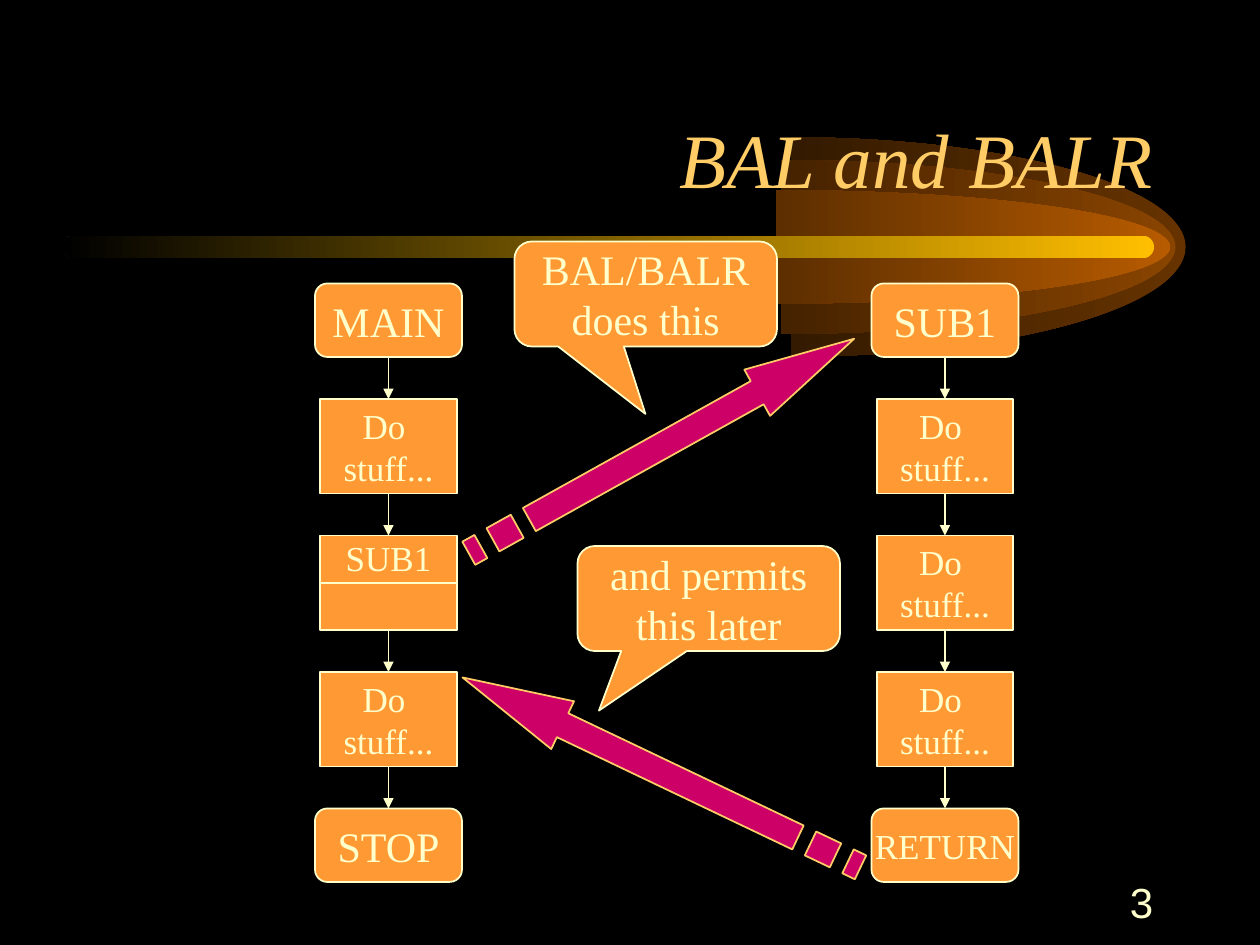
from lxml import etree
from pptx import Presentation
from pptx.dml.color import RGBColor
from pptx.enum.shapes import MSO_CONNECTOR, MSO_SHAPE
from pptx.enum.text import MSO_ANCHOR, PP_ALIGN
from pptx.oxml.ns import qn
from pptx.util import Inches, Pt

RECT, ROUND = MSO_SHAPE.RECTANGLE, MSO_SHAPE.ROUNDED_RECTANGLE
CALLOUT = MSO_SHAPE.ROUNDED_RECTANGULAR_CALLOUT
STRAIGHT = MSO_CONNECTOR.STRAIGHT
CENTER, RIGHT = PP_ALIGN.CENTER, PP_ALIGN.RIGHT
TOP, MIDDLE, BOTTOM = MSO_ANCHOR.TOP, MSO_ANCHOR.MIDDLE, MSO_ANCHOR.BOTTOM

BLACK = RGBColor(0x00, 0x00, 0x00)
CREAM = RGBColor(0xFF, 0xFF, 0xCC)
ORANGE = RGBColor(0xFF, 0x99, 0x33)
GOLD = RGBColor(0xFF, 0xCC, 0x66)
YELLOW = RGBColor(0xFF, 0xBF, 0x00)
MAGENTA = RGBColor(0xCC, 0x00, 0x66)
SERIF, SANS = "Times New Roman", "Arial"

# Content; the flow chart and callouts sit on a grid of twelfths of an inch
TITLE = "BAL and BALR"
PAGE = "3"
STUFF = ["Do ", "stuff..."]
# Flow columns: centre x, then (lines, text size) from top to bottom
FLOWS = [
    (37 / 12, [(["MAIN"], 24), (STUFF, 20), (["SUB1"], 20), (STUFF, 20), (["STOP"], 24)]),
    (90 / 12, [(["SUB1"], 24), (STUFF, 20), (STUFF, 20), (STUFF, 20), (["RETURN"], 20)]),
]
CALL_STEP = (0, 2)  # column and row of the box that calls the subroutine
# Callouts: lines, left, top, pointer offset
CALLOUTS = [
    (["BAL/BALR", "does this"], 49 / 12, 23 / 12, (-0.001, 1.142)),
    (["and permits", "this later"], 55 / 12, 52 / 12, (-0.418, 1.067)),
]
# Striped arrows: top, rotation
ARROWS = [(3.33, 330.9), (5.92, 205.5)]
# Comet layers: centre x, vertical radius, head colour, fading colour
COMET = [
    (6.28, 0.87, RGBColor(0x66, 0x33, 0x00), RGBColor(0x33, 0x1A, 0x00)),
    (6.2, 0.69, RGBColor(0x89, 0x44, 0x00), RGBColor(0x45, 0x22, 0x00)),
    (6.16, 0.45, RGBColor(0xB7, 0x5B, 0x00), RGBColor(0x5C, 0x2E, 0x00)),
]
COMET_Y, COMET_RX = 1.96, 3.13

prs = Presentation()
prs.slide_width, prs.slide_height = Inches(10), Inches(7.5)
s = prs.slides.add_slide(prs.slide_layouts[5])
s.background.fill.solid()
s.background.fill.fore_color.rgb = BLACK


def put_text(sp, lines, size=24, color=CREAM, font=SERIF, italic=False,
             align=CENTER, anchor=MIDDLE, wrap=False, spacing=None):
    tf = sp.text_frame
    tf.word_wrap = wrap
    tf.vertical_anchor = anchor
    for i, line in enumerate(lines):
        p = tf.add_paragraph() if i else tf.paragraphs[0]
        p.alignment = align
        p.line_spacing = spacing
        r = p.add_run()
        r.text = line
        r.font.size, r.font.name, r.font.italic = Pt(size), font, italic
        r.font.color.rgb = color


def paint(sp, fill, line):
    sp.shadow.inherit = False
    sp.fill.solid()
    sp.fill.fore_color.rgb = fill
    sp.line.color.rgb = line
    sp.line.width = Pt(1)


def fade(sp, head, tail):
    """Fade from head on the right to tail on the left, without outline."""
    sp.shadow.inherit = False
    sp.fill.gradient()
    sp.fill.gradient_angle = 180
    for stop, color in zip(sp.fill.gradient_stops, (head, tail)):
        stop.color.rgb = color
    sp.line.fill.background()


def add_box(kind, x, y, w, h):
    sp = s.shapes.add_shape(kind, Inches(x), Inches(y), Inches(w), Inches(h))
    paint(sp, ORANGE, CREAM)
    return sp


def add_outline(contours, x=0, y=0):
    """Build a closed freeform from contours in inches, offset by x and y."""
    contours = [[(Inches(a), Inches(b)) for a, b in c] for c in contours]
    fb = s.shapes.build_freeform(*contours[0][0], scale=1.0)
    for i, points in enumerate(contours):
        if i:
            fb.move_to(*points[0])
        fb.add_line_segments(points[1:], close=True)
    return fb.convert_to_shape(Inches(x), Inches(y))


def add_half_ellipse(cx, cy, rx, ry):
    """Right half of an ellipse: two quarter curves, closed on the left."""
    sp = add_outline([[(cx, cy - ry), (cx + rx, cy), (cx, cy + ry)]])
    k = 0.55  # curve handle as a share of the radius
    handles = [[(k, -1), (1, -k)], [(1, k), (k, 1)]]
    for line, pair in zip(list(sp._element.iter(qn("a:lnTo"))), handles):
        line.tag = qn("a:cubicBezTo")
        for i, (hx, hy) in enumerate(pair):
            pt = etree.Element(qn("a:pt"), x=str(Inches(rx * hx)),
                               y=str(Inches(ry * (1 + hy))))
            line.insert(i, pt)
    return sp


def add_line(x1=0, y1=0, x2=0, y2=0, arrow=False):
    c = s.shapes.add_connector(STRAIGHT, *map(Inches, (x1, y1, x2, y2)))
    c.line.color.rgb = CREAM
    c.line.width = Pt(1)
    if arrow:
        etree.SubElement(c.line._get_or_add_ln(), qn("a:tailEnd"), type="triangle")
    etree.SubElement(c._element.spPr, qn("a:effectLst"))
    return c


# Comet behind the title
for cx, ry, head, tail in COMET:
    fade(add_half_ellipse(cx, COMET_Y, COMET_RX, ry), head, tail)
bar = s.shapes.add_shape(ROUND, Inches(0.5), Inches(1.87), Inches(8.66), Inches(0.18))
bar.adjustments[0] = 0.5
fade(bar, YELLOW, BLACK)

# Title, raised above the comet
title = s.shapes.title
title.left, title.top = Inches(0.75), Inches(0.42)
title.width, title.height = Inches(8.5), Inches(1.25)
put_text(title, [TITLE], size=44, color=GOLD, italic=True, align=RIGHT,
         anchor=BOTTOM, wrap=True)
title.element.getparent().append(title.element)

# Flow columns: rounded ends, rectangular steps, joined by arrows
END_W, END_H, STEP_W, STEP_H, GAP = 14 / 12, 7 / 12, 13 / 12, 9 / 12, 4 / 12
for col, (cx, steps) in enumerate(FLOWS):
    y, above = 2.25, None
    for row, (lines, size) in enumerate(steps):
        is_end = row in (0, len(steps) - 1)
        w, h = (END_W, END_H) if is_end else (STEP_W, STEP_H)
        box = add_box(ROUND if is_end else RECT, cx - w / 2, y, w, h)
        if (col, row) == CALL_STEP:
            put_text(box, lines, size=size, anchor=TOP, spacing=0.9)
            add_line(cx - w / 2, y + h / 2, cx + w / 2, y + h / 2)
        else:
            put_text(box, lines, size=size)
        if above is not None:
            link = add_line(arrow=True)
            link.begin_connect(above, 2)
            link.end_connect(box, 0)
        above = box
        y += h + GAP

# Striped arrows: two stripes, then a shaft with a head
LENGTH, HEIGHT, HEAD_X = 3.5, 0.42, 2.62
UPPER, LOWER = HEIGHT / 4, HEIGHT * 3 / 4
STRIPES = [(0, 0.11), (0.22, 0.44)]
striped = [[(a, UPPER), (b, UPPER), (b, LOWER), (a, LOWER)] for a, b in STRIPES]
striped.append([(0.55, UPPER), (HEAD_X, UPPER), (HEAD_X, 0), (LENGTH, HEIGHT / 2),
                (HEAD_X, HEIGHT), (HEAD_X, LOWER), (0.55, LOWER)])
for y, rotation in ARROWS:
    arrow = add_outline(striped, 3.5, y)
    paint(arrow, MAGENTA, GOLD)
    arrow.rotation = rotation

# Callouts
for lines, x, y, pointer in CALLOUTS:
    callout = add_box(CALLOUT, x, y, 25 / 12, 10 / 12)
    callout.adjustments[0], callout.adjustments[1] = pointer
    put_text(callout, lines)

# Page number
page = s.shapes.add_textbox(Inches(7.17), Inches(6.91), Inches(2.08), Inches(0.5))
put_text(page, [PAGE], font=SANS, align=RIGHT, wrap=True)

prs.save("out.pptx")
